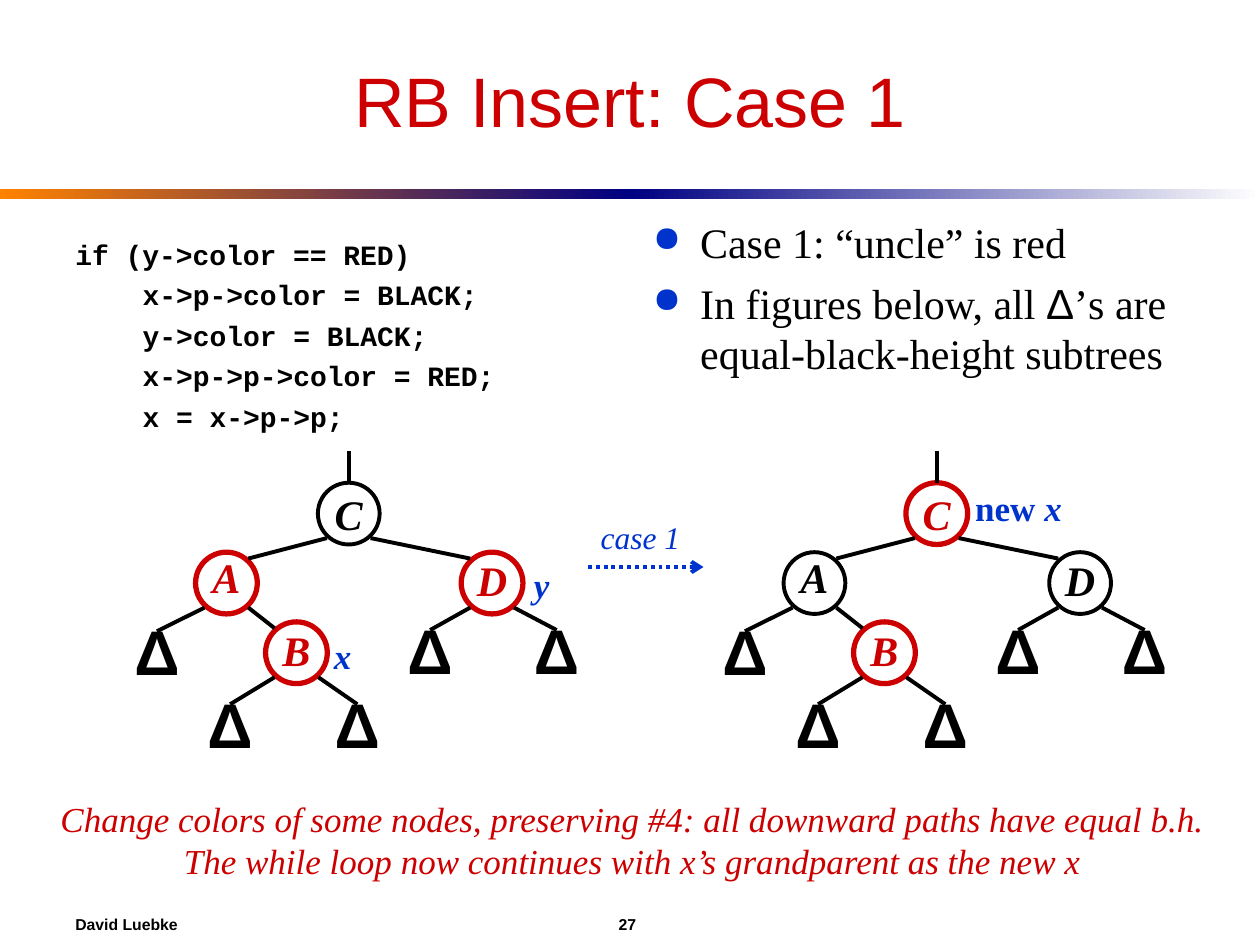
"""Build the slide on case 1 of red-black tree insertion."""
from lxml import etree
from pptx import Presentation
from pptx import util as u
from pptx.dml.color import RGBColor
from pptx.enum import dml, shapes, text
from pptx.oxml import ns

THEME = {
    "red": "CC0000", "blue": "0033CC", "black": "000000", "white": "FFFFFF",
    "orange": "FF8200", "navy": "000082",
    "sans": "Arial", "serif": "Times New Roman", "mono": "Courier New",
    "title": 40, "subtree": 36, "body": 24, "note": 20, "case": 18, "code": 16, "footer": 9,
}


def style(font, size, colour="black", **extra):
    return {"name": THEME[font], "size": u.Pt(THEME[size]), "color": colour, **extra}


STYLES = {
    "title": style("sans", "title", "red"),
    "code": style("mono", "code", bold=True),
    "body": style("serif", "body"),
    "body_symbol": style("sans", "body"),
    "red_node": style("serif", "body", "red", bold=True, italic=True),
    "black_node": style("serif", "body", bold=True, italic=True),
    "subtree": style("sans", "subtree", bold=True),
    "pointer": style("serif", "note", "blue", bold=True, italic=True),
    "pointer_word": style("serif", "note", "blue", bold=True),
    "conclusion": style("serif", "note", "red", italic=True),
    "case": style("serif", "case", "blue", italic=True),
    "footer": style("sans", "footer", bold=True),
}
BARS = [(0, "orange", "navy"), (360, "navy", "white")]
CODE = [
    (0, "if (y->color == RED)"),
    (1, "x->p->color = BLACK;"),
    (1, "y->color = BLACK;"),
    (1, "x->p->p->color = RED;"),
    (1, "x = x->p->p;"),
]
POINTS = [
    [("Case 1: “uncle” is red", "body")],
    [("In figures below, all ", "body"), ("Δ", "body_symbol"),
     ("’s are equal-black-height subtrees", "body")],
]
CONCLUSION = [
    "Change colors of some nodes, preserving #4: all downward paths have equal b.h.",
    "The while loop now continues with x’s grandparent as the new x",
]
# centre x, centre y, line spacing
NODES = {"C": (199.3, 293.5, 1), "A": (129.4, 333.2, 0.7),
         "D": (281.2, 333.2, 0.9), "B": (169.4, 373, 0.9)}
SUBTREES = {"A left": (89.7, 378.4), "B left": (131.5, 420.1), "B right": (204.2, 420.1),
            "D left": (245.8, 377.7), "D right": (318.1, 377.7)}
EDGES = [("C", -1, "A"), ("C", 1, "D"), ("A", 1, "B"), ("A", -1, "A left"),
         ("B", -1, "B left"), ("B", 1, "B right"), ("D", -1, "D left"), ("D", 1, "D right")]
TREES = [(0, "ADB"), (336, "CB")]
POINTERS = [
    ((183.6, 358.6, 24.5, 31.7), [("x", "pointer")]),
    ((298, 318.3, 23, 31.7), [("y", "pointer")]),
    ((550, 274.3, 64, 31.7), [("new", "pointer_word"), (" x", "pointer")]),
]
DIAMETER, EDGE_DX, EDGE_DY = 35.3, 12.5, 14

deck = Presentation()
deck.slide_width, deck.slide_height = u.Pt(720), u.Pt(540)
slide = deck.slides.add_slide(deck.slide_layouts[6])


def rgb(name):
    return RGBColor.from_string(THEME[name])


def add_runs(paragraph, runs):
    for words, style_name in runs:
        run = paragraph.add_run()
        run.text = words
        for key, value in STYLES[style_name].items():
            if key == "color":
                run.font.color.rgb = rgb(value)
            else:
                setattr(run.font, key, value)


def write(shape, paragraphs, anchor=text.MSO_ANCHOR.MIDDLE, wrap=False, **formats):
    frame = shape.text_frame
    frame.word_wrap, frame.vertical_anchor = wrap, anchor
    for index, runs in enumerate(paragraphs):
        paragraph = frame.add_paragraph() if index else frame.paragraphs[0]
        for key, value in formats.items():
            setattr(paragraph, key, value)
        add_runs(paragraph, runs)
    return frame.paragraphs


def text_box(box, paragraphs, **options):
    return write(slide.shapes.add_textbox(*map(u.Pt, box)), paragraphs, **options)


def add_shape(kind, left, top, width, height):
    shape = slide.shapes.add_shape(kind, *map(u.Pt, (left, top, width, height)))
    shape.shadow.inherit = False
    shape.line.fill.background()
    return shape


def add_line(start, end, colour="black"):
    line = slide.shapes.add_connector(shapes.MSO_CONNECTOR.STRAIGHT, *map(u.Pt, start + end))
    line.line.color.rgb, line.line.width = rgb(colour), u.Pt(2.25)
    etree.SubElement(line.element.spPr, ns.qn("a:effectLst"))
    return line


def add_circle(x, y, label, style_name, spacing):
    circle = add_shape(shapes.MSO_SHAPE.OVAL, x - DIAMETER / 2, y - DIAMETER / 2,
                       DIAMETER, DIAMETER)
    circle.fill.background()
    write(circle, [[(label, style_name)]], alignment=CENTRE, line_spacing=spacing)
    return circle


def add_tree(shift, red_nodes):
    circles = {}
    for name, (x, y, spacing) in NODES.items():
        colour = "red" if name in red_nodes else "black"
        node = circles[name] = add_circle(x + shift, y, name, colour + "_node", spacing)
        node.fill.solid()
        node.fill.fore_color.rgb = rgb("white")
        node.line.color.rgb = rgb(colour)
        node.line.width = u.Pt(3 if colour == "red" else 2.25)
    for name, (x, y) in SUBTREES.items():
        circles[name] = add_circle(x + shift, y, "Δ", "subtree", 0.6)
    for parent, side, child in EDGES:
        x, y = NODES[parent][:2]
        start = (x + shift + side * EDGE_DX, y + EDGE_DY)
        if child in NODES:
            x, y = NODES[child][:2]
            add_line(start, (x + shift - side * EDGE_DX, y - EDGE_DY))
        else:
            x, y = SUBTREES[child]
            add_line(start, (x + shift, y - DIAMETER / 2)).end_connect(circles[child], 0)
    x, y = NODES["C"][:2]
    stem = add_line((x + shift, y - DIAMETER / 2), (x + shift, 258))
    stem.begin_connect(circles["C"], 0)


def set_indent(paragraph, margin, indent):
    properties = paragraph._p.get_or_add_pPr()
    properties.set("marL", str(u.Pt(margin)))
    properties.set("indent", str(u.Pt(indent)))
    return properties


CENTRE = text.PP_ALIGN.CENTER
TOP = text.MSO_ANCHOR.TOP

for left, first, last in BARS:
    bar = add_shape(shapes.MSO_SHAPE.RECTANGLE, left, 108, 360, 6)
    bar.fill.gradient()
    bar.fill.gradient_angle = 0
    for stop, colour, position in zip(bar.fill.gradient_stops, (first, last), (0, 1)):
        stop.color.rgb, stop.position = rgb(colour), position

footer = text_box((36, 516, 648, 24), [[("David Luebke\t27", "footer")]],
                  alignment=text.PP_ALIGN.LEFT)[0]
tabs = etree.SubElement(footer._p.get_or_add_pPr(), ns.qn("a:tabLst"))
etree.SubElement(tabs, ns.qn("a:tab"), pos=str(u.Pt(310.5)), algn="l")

text_box((36, 18, 648, 78), [[("RB Insert: Case 1", "title")]], wrap=True, alignment=CENTRE)

code = text_box((36, 132, 318, 132), [[(line, "code")] for _, line in CODE],
                anchor=TOP, wrap=True, space_before=u.Pt(4))
for paragraph, (level, _) in zip(code, CODE):
    set_indent(paragraph, 38.4 * level, 0)

for paragraph in text_box((366, 120, 318, 138), POINTS, anchor=TOP, wrap=True,
                          space_before=u.Pt(6)):
    properties = set_indent(paragraph, 27, -27)
    bullet_colour = etree.SubElement(properties, ns.qn("a:buClr"))
    etree.SubElement(bullet_colour, ns.qn("a:srgbClr"), val=THEME["blue"])
    etree.SubElement(properties, ns.qn("a:buSzPct"), val="85000")
    etree.SubElement(properties, ns.qn("a:buChar"), char="●")

for shift, red_nodes in TREES:
    add_tree(shift, red_nodes)

arrow = add_line((336, 324), (402, 324), "blue")
arrow.line.dash_style = dml.MSO_LINE.ROUND_DOT
etree.SubElement(arrow.line._ln, ns.qn("a:tailEnd"), type="arrow")

for box, runs in POINTERS:
    text_box(box, [runs], alignment=CENTRE)
text_box((26.6, 452.2, 669.6, 55.4), [[(line, "conclusion")] for line in CONCLUSION],
         alignment=CENTRE)
text_box((336, 292.3, 60, 28.8), [[("case 1", "case")]], alignment=CENTRE)

deck.save("out.pptx")
